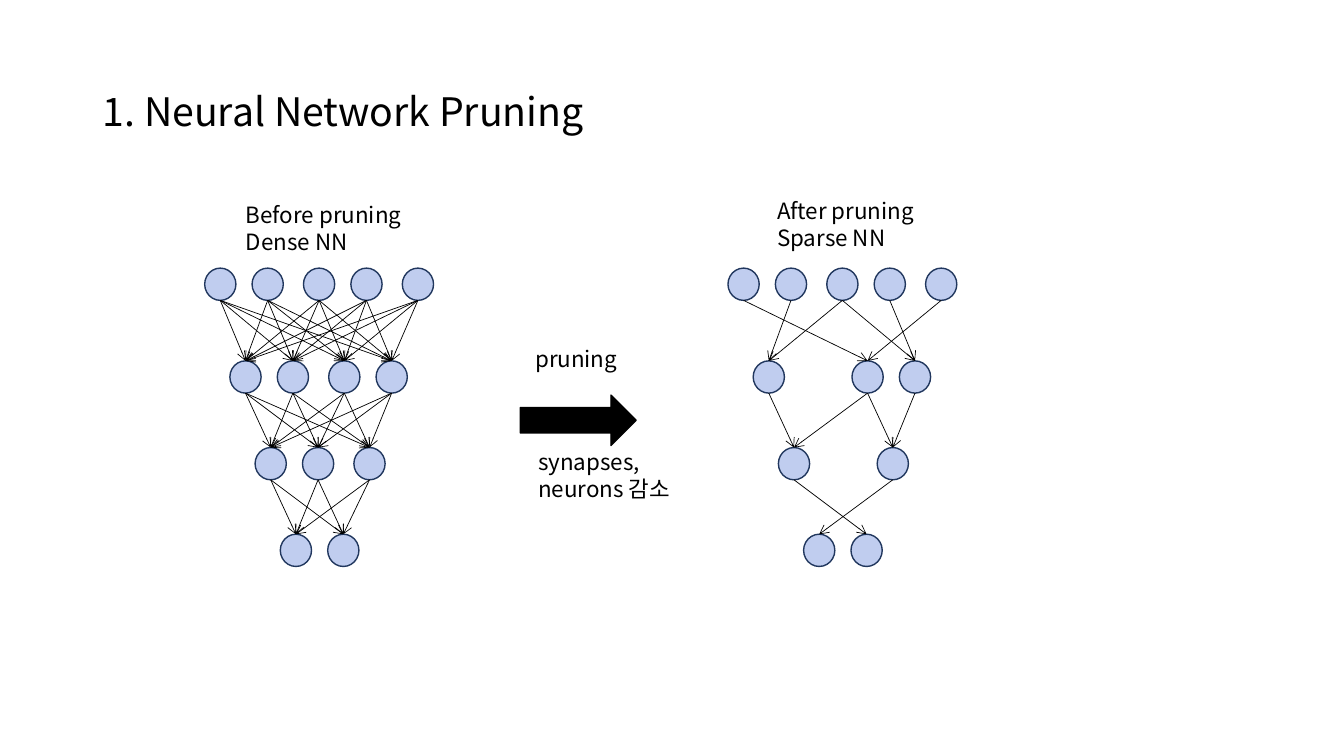
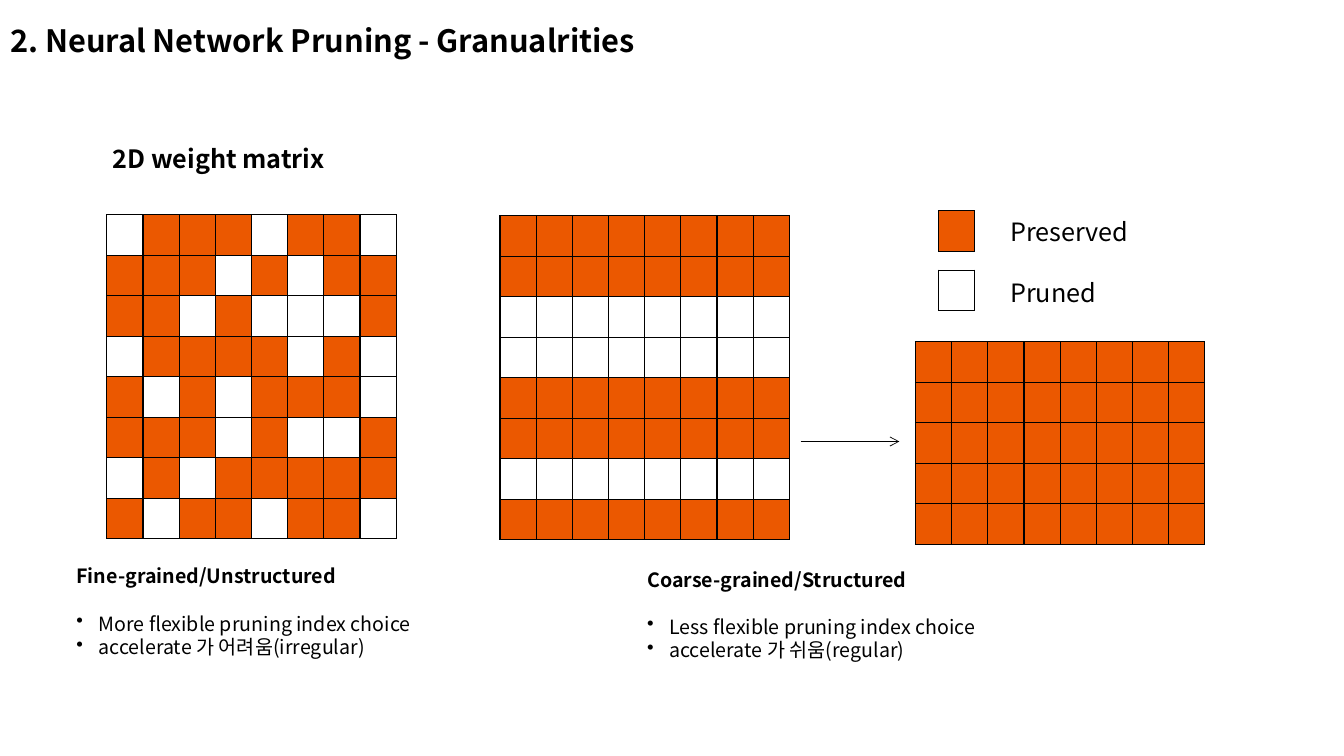
from dataclasses import dataclass
from itertools import product

from lxml import etree
from pptx import Presentation
from pptx import util as u
from pptx.dml.color import RGBColor
from pptx.enum import shapes, text
from pptx.oxml.ns import qn


@dataclass(frozen=True)
class Theme:
    font: str = "Noto Sans CJK KR"
    ink: str = "000000"
    paper: str = "FFFFFF"
    preserved: str = "EB5800"
    node: str = "C0CDEF"
    node_edge: str = "21375E"
    title: int = 28
    section_title: int = 22
    heading: int = 18
    label: int = 16
    body: int = 14
    outline: float = 1
    thin: float = 0.5
    line_height: float = 1.2


# The grid has square cells: 133.3 columns by 75 rows.
CELL = u.Inches(0.1)
COLUMNS, ROWS = 133.3, 75
TITLE_ONLY = 5


def grid(*lengths):
    return [round(length * CELL) for length in lengths]


class Deck:
    def __init__(self, theme):
        self.theme = theme
        self.presentation = Presentation()
        self.presentation.slide_width, self.presentation.slide_height = grid(COLUMNS, ROWS)
        self.slide = None

    def add_slide(self, title, box, size, bold=False, line_spacing=None):
        layout = self.presentation.slide_layouts[TITLE_ONLY]
        self.slide = self.presentation.slides.add_slide(layout)
        shape = self.slide.shapes.title
        shape.left, shape.top, shape.width, shape.height = grid(*box)
        frame = shape.text_frame
        frame.auto_size = text.MSO_AUTO_SIZE.NONE
        frame.vertical_anchor = text.MSO_ANCHOR.MIDDLE
        paragraph = frame.paragraphs[0]
        paragraph.alignment = text.PP_ALIGN.LEFT
        paragraph.line_spacing = line_spacing
        self.add_run(paragraph, title, size, bold)

    def add_run(self, paragraph, content, size, bold=False):
        run = paragraph.add_run()
        run.text = content
        run.font.size = u.Pt(size)
        run.font.bold = bold
        run.font.color.rgb = RGBColor.from_string(self.theme.ink)
        run.font.name = self.theme.font
        properties = run._r.get_or_add_rPr()
        etree.SubElement(properties, qn("a:ea"), typeface=self.theme.font)

    def add_text(self, box, lines, size, bold=False, gap_before=()):
        """Add a text box; lines whose index is in gap_before follow a one-line gap."""
        frame = self.slide.shapes.add_textbox(*grid(*box)).text_frame
        frame.word_wrap = True
        frame.auto_size = text.MSO_AUTO_SIZE.SHAPE_TO_FIT_TEXT
        for index, line in enumerate(lines):
            paragraph = frame.add_paragraph() if index else frame.paragraphs[0]
            if index in gap_before:
                paragraph.space_before = u.Pt(size * self.theme.line_height)
            self.add_run(paragraph, line, size, bold)
        return frame

    def add_summary(self, box, heading, points):
        """Add a bold heading with bulleted points one line below it."""
        frame = self.add_text(box, [heading, *points], self.theme.body, gap_before=(1,))
        first, *bulleted = frame.paragraphs
        first.runs[0].font.bold = True
        for paragraph in bulleted:
            properties = paragraph._p.get_or_add_pPr()
            indent = u.Inches(0.22)
            properties.set("marL", str(indent))
            properties.set("indent", str(-indent))
            etree.SubElement(properties, qn("a:buChar"), char="•")

    def add_shape(self, kind, box, fill, edge):
        shape = self.slide.shapes.add_shape(kind, *grid(*box))
        shape.shadow.inherit = False
        shape.fill.solid()
        shape.fill.fore_color.rgb = RGBColor.from_string(fill)
        shape.line.color.rgb = RGBColor.from_string(edge)
        shape.line.width = u.Pt(self.theme.outline)

    def add_arrow(self, start, end):
        connector = self.slide.shapes.add_connector(
            shapes.MSO_CONNECTOR.STRAIGHT, *grid(*start, *end))
        connector.line.color.rgb = RGBColor.from_string(self.theme.ink)
        connector.line.width = u.Pt(self.theme.thin)
        etree.SubElement(connector.line._get_or_add_ln(), qn("a:tailEnd"), type="arrow")
        etree.SubElement(connector._element.spPr, qn("a:effectLst"))

    def add_matrix(self, left, top, pattern, cell_width=3.59, cell_height=4.02):
        """Draw rows of '#' (preserved) and '.' (pruned) as a table."""
        rows, columns = len(pattern), len(pattern[0])
        box = grid(left, top, columns * cell_width, rows * cell_height)
        table = self.slide.shapes.add_table(rows, columns, *box).table
        table.first_row = table.horz_banding = False
        for row, column in product(range(rows), range(columns)):
            cell = table.cell(row, column)
            cell.margin_left = cell.margin_right = cell.margin_top = cell.margin_bottom = 0
            self.add_borders(cell)
            kept = pattern[row][column] == "#"
            cell.fill.solid()
            cell.fill.fore_color.rgb = RGBColor.from_string(
                self.theme.preserved if kept else self.theme.paper)

    def add_borders(self, cell):
        properties = cell._tc.get_or_add_tcPr()
        for side in ("lnL", "lnR", "lnT", "lnB"):
            border = etree.SubElement(
                properties, qn(f"a:{side}"), w=str(u.Pt(self.theme.outline)))
            fill = etree.SubElement(border, qn("a:solidFill"))
            etree.SubElement(fill, qn("a:srgbClr"), val=self.theme.ink)

    def add_network(self, left, links):
        """Draw links (layer, start, end) and every node that they join."""
        nodes = {(layer, start) for layer, start, _ in links}
        nodes |= {(layer + 1, end) for layer, _, end in links}
        places = {(layer, index): (left + NODE_OFFSETS[index] + layer * LAYER_SHIFT,
                                   LAYER_TOPS[layer])
                  for layer, index in sorted(nodes)}
        for place in places.values():
            self.add_shape(shapes.MSO_SHAPE.OVAL, (*place, NODE_WIDTH, NODE_HEIGHT),
                           self.theme.node, self.theme.node_edge)
        for layer, start, end in links:
            start_left, start_top = places[layer, start]
            end_left, end_top = places[layer + 1, end]
            self.add_arrow((start_left + NODE_WIDTH / 2, start_top + NODE_HEIGHT),
                           (end_left + NODE_WIDTH / 2, end_top))


NODE_WIDTH, NODE_HEIGHT = 3.1, 3.2
NODE_OFFSETS = (0, 4.7, 9.8, 14.5, 19.6)
LAYER_TOPS = (26.6, 35.8, 44.4, 53)
LAYER_SHIFT = 2.5
LAYER_SIZES = (5, 4, 3, 2)

DENSE_LINKS = [(layer, start, end)
               for layer, sizes in enumerate(zip(LAYER_SIZES, LAYER_SIZES[1:]))
               for start, end in product(*map(range, sizes))]
SPARSE_LINKS = [(0, 0, 2), (0, 1, 0), (0, 2, 0), (0, 2, 3), (0, 3, 3), (0, 4, 2),
                (1, 0, 0), (1, 2, 0), (1, 2, 2), (1, 3, 2),
                (2, 0, 1), (2, 2, 0)]

FINE_GRAINED = (".###.##.",
                "###.#.##",
                "##.#...#",
                ".####.#.",
                "#.#.###.",
                "###.#..#",
                ".#.#####",
                "#.##.##.")
COARSE_GRAINED = [state * 8 for state in "##..##.#"]
COMPACTED = [row for row in COARSE_GRAINED if "#" in row]


def build_pruning(deck):
    theme = deck.theme
    deck.add_slide("1. Neural Network Pruning", (9.2, 4, 115, 14.5), theme.title,
                   line_spacing=0.9)
    deck.add_network(20.3, DENSE_LINKS)
    deck.add_network(72.2, SPARSE_LINKS)
    deck.add_shape(shapes.MSO_SHAPE.RIGHT_ARROW, (51.6, 39.2, 11.5, 5),
                   theme.ink, theme.ink)
    for left, top, height, lines in (
            (23.4, 19.5, 6.3, ["Before pruning", "Dense NN"]),
            (76.1, 19.1, 6.3, ["After pruning", "Sparse NN"]),
            (52.1, 33.8, 3.7, ["pruning"]),
            (52.4, 44, 6.3, ["synapses, neurons 감소"])):
        deck.add_text((left, top, 19.3, height), lines, theme.label)


def build_granularities(deck):
    theme = deck.theme
    deck.add_slide("2. Neural Network Pruning - Granualrities", (0, 0, COLUMNS, 7.9),
                   theme.section_title, bold=True)
    deck.add_text((10.2, 13.7, 91.7, 4), ["2D weight matrix"], theme.heading, bold=True)
    deck.add_matrix(10.6, 21.3, FINE_GRAINED)
    deck.add_matrix(49.6, 21.4, COARSE_GRAINED)
    deck.add_matrix(90.8, 33.9, COMPACTED)
    deck.add_arrow((79.4, 43.8), (89.2, 43.8))
    for top, state in ((20.9, "#"), (26.8, ".")):
        deck.add_matrix(93.1, top, [state])
    deck.add_text((99.2, 21, 20.1, 9.9), ["Preserved", "Pruned"], theme.heading,
                  gap_before=(1,))
    deck.add_summary((6.6, 55.5, 43.6, 12.6), "Fine-grained/Unstructured",
                     ["More flexible pruning index choice",
                      "accelerate 가 어려움(irregular)"])
    deck.add_summary((63.2, 55.8, 47.2, 14.9), "Coarse-grained/Structured",
                     ["Less flexible pruning index choice",
                      "accelerate 가 쉬움(regular)"])


def main():
    deck = Deck(Theme())
    build_pruning(deck)
    build_granularities(deck)
    deck.presentation.save("out.pptx")


if __name__ == "__main__":
    main()
